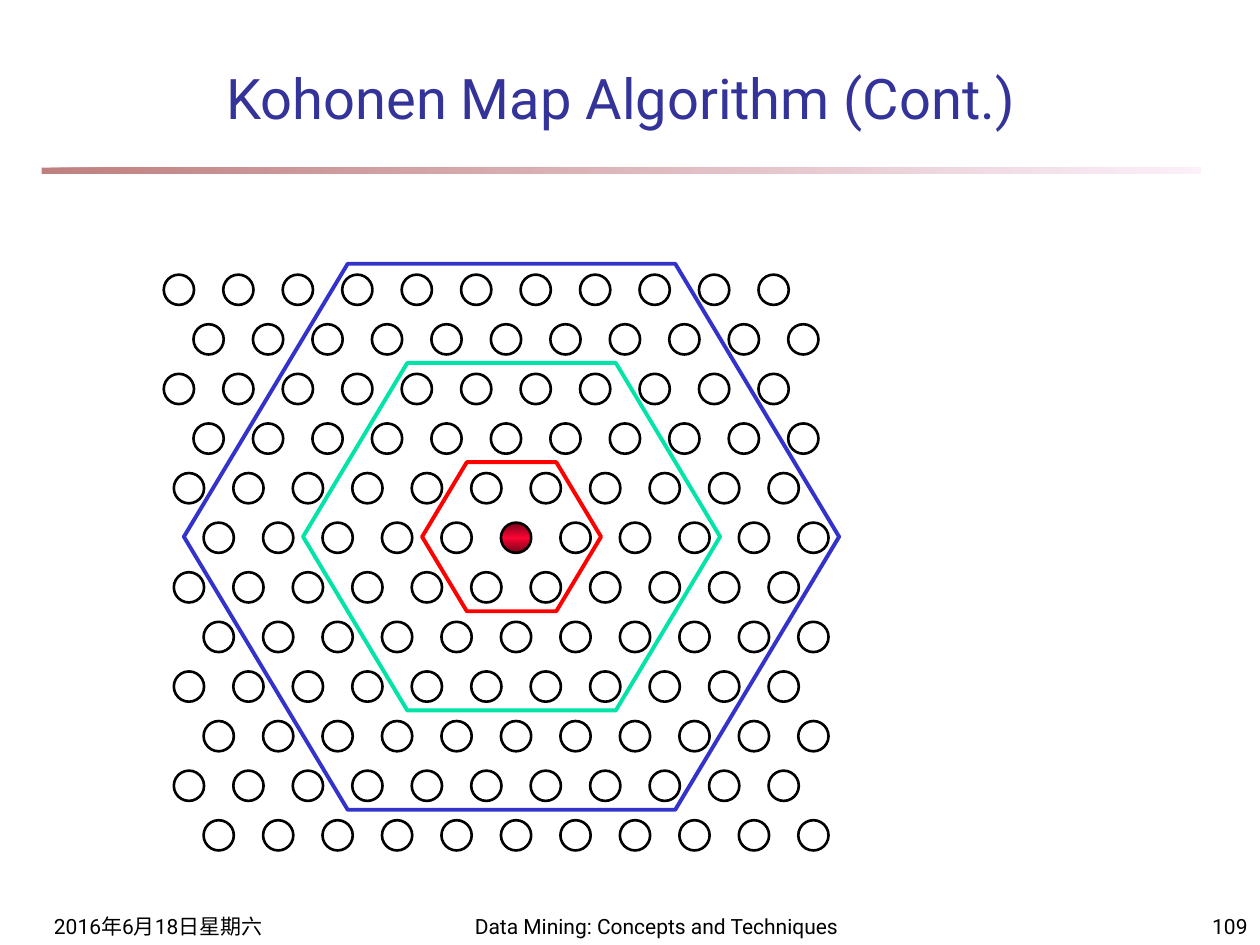
from dataclasses import dataclass
from typing import Any, Iterable

from lxml import etree
from pptx import Presentation
from pptx import util as u
from pptx.dml import color
from pptx.enum import shapes, text
from pptx.oxml import ns

COLORS = {
    "ink": "000000",
    "title": "333399",
    "rule_start": "800000",
    "rule_end": "FAE2F6",
    "winner_edge": "740218",
    "winner_core": "FB0534",
    "near": "FF0000",
    "middle": "00E4A8",
    "far": "3333CC",
}
FONT = "Roboto"

ROWS, COLUMNS = 12, 11
GRID_TOP = 2.18
COLUMN_STEP = 4.72 / (COLUMNS - 1)
ROW_STEP = 4.33 / (ROWS - 1)
NODE_SIZE = 0.24
UPPER_LEFT, LOWER_LEFT = 1.30, 1.38
FIRST_LOWER_ROW = 4
WINNER = (5, 5)

CENTER_X, CENTER_Y = 4.06, 4.26
RING_WIDTH, RING_GROWTH = 1.42, 1.89
RING_ASPECT = 1.2


@dataclass(frozen=True)
class Box:
    left: float
    top: float
    width: float
    height: float

    def lengths(self) -> list[u.Length]:
        return [u.Inches(v) for v in (self.left, self.top, self.width, self.height)]


@dataclass(frozen=True)
class Label:
    words: str
    box: Box
    align: text.PP_ALIGN = text.PP_ALIGN.LEFT
    size: int = 12
    color: str = "ink"


@dataclass(frozen=True)
class Stop:
    position: int
    color: str
    opacity: int = 100


@dataclass(frozen=True)
class Ring:
    level: int
    color: str

    def box(self) -> Box:
        width = RING_WIDTH + self.level * RING_GROWTH
        height = width / RING_ASPECT
        return Box(CENTER_X - width / 2, CENTER_Y - height / 2, width, height)


LABELS = [
    Label("2016年6月18日星期六", Box(0.33, 7.08, 2.08, 0.42)),
    Label("Data Mining: Concepts and Techniques", Box(3.67, 7.08, 3.17, 0.42)),
    Label("109", Box(7.92, 7.08, 2.08, 0.42), text.PP_ALIGN.RIGHT),
    Label("Kohonen Map Algorithm (Cont.)", Box(0.67, 0.42, 8.52, 0.67),
          text.PP_ALIGN.CENTER, 32, "title"),
]
INNER_RINGS = [Ring(0, "near"), Ring(1, "middle")]
OUTER_RING = Ring(2, "far")
RULE_STOPS = [Stop(0, "rule_start", 50), Stop(100, "rule_end", 50)]
WINNER_STOPS = [Stop(0, "winner_edge"), Stop(50, "winner_core"), Stop(100, "winner_edge")]


def rgb(name: str) -> color.RGBColor:
    return color.RGBColor.from_string(COLORS[name])


def apply(target: Any, values: dict[str, Any]) -> None:
    for key, value in values.items():
        setattr(target, key, value)


def add_outline(slide: Any, kind: shapes.MSO_SHAPE, box: Box,
                line_color: str | None = None, weight: float = 0) -> Any:
    outline = slide.shapes.add_shape(kind, *box.lengths())
    outline.shadow.inherit = False
    outline.fill.background()
    if line_color:
        outline.line.color.rgb = rgb(line_color)
        outline.line.width = u.Pt(weight)
    else:
        outline.line.fill.background()
    return outline


def fill_gradient(shape: Any, stops: list[Stop], angle: int) -> None:
    gradient = etree.Element(ns.qn("a:gradFill"), rotWithShape="1")
    stop_list = etree.SubElement(gradient, ns.qn("a:gsLst"))
    for stop in stops:
        entry = etree.SubElement(stop_list, ns.qn("a:gs"), pos=str(stop.position * 1000))
        tint = etree.SubElement(entry, ns.qn("a:srgbClr"), val=COLORS[stop.color])
        if stop.opacity < 100:
            etree.SubElement(tint, ns.qn("a:alpha"), val=str(stop.opacity * 1000))
    etree.SubElement(gradient, ns.qn("a:lin"), ang=str(angle * 60000), scaled="0")
    properties = shape.element.spPr
    properties.replace(properties.find(ns.qn("a:noFill")), gradient)


def add_label(slide: Any, label: Label) -> None:
    frame = slide.shapes.add_textbox(*label.box.lengths()).text_frame
    apply(frame, {"word_wrap": True, "vertical_anchor": text.MSO_ANCHOR.BOTTOM})
    paragraph = frame.paragraphs[0]
    paragraph.alignment = label.align
    run = paragraph.add_run()
    run.text = label.words
    apply(run.font, {"name": FONT, "size": u.Pt(label.size)})
    run.font.color.rgb = rgb(label.color)


def add_nodes(slide: Any, rows: Iterable[int]) -> None:
    for row in rows:
        left = UPPER_LEFT if row < FIRST_LOWER_ROW else LOWER_LEFT
        left += row % 2 * COLUMN_STEP / 2
        for column in range(COLUMNS):
            box = Box(left + column * COLUMN_STEP, GRID_TOP + row * ROW_STEP,
                      NODE_SIZE, NODE_SIZE)
            node = add_outline(slide, shapes.MSO_SHAPE.OVAL, box, "ink", 1.5)
            if (row, column) == WINNER:
                fill_gradient(node, WINNER_STOPS, 90)


def add_ring(slide: Any, ring: Ring) -> None:
    hexagon = add_outline(slide, shapes.MSO_SHAPE.HEXAGON, ring.box(), ring.color, 2.25)
    hexagon.adjustments[0] = 0.3


def main() -> None:
    deck = Presentation()
    apply(deck, {"slide_width": u.Inches(10), "slide_height": u.Inches(7.5)})
    slide = deck.slides.add_slide(deck.slide_layouts[6])

    rule = add_outline(slide, shapes.MSO_SHAPE.RECTANGLE, Box(0.33, 1.33, 9.2, 0.05))
    fill_gradient(rule, RULE_STOPS, 0)
    for label in LABELS:
        add_label(slide, label)

    add_nodes(slide, range(ROWS - 2))
    for ring in INNER_RINGS:
        add_ring(slide, ring)
    add_nodes(slide, range(ROWS - 2, ROWS))
    add_ring(slide, OUTER_RING)

    deck.save("out.pptx")


if __name__ == "__main__":
    main()
